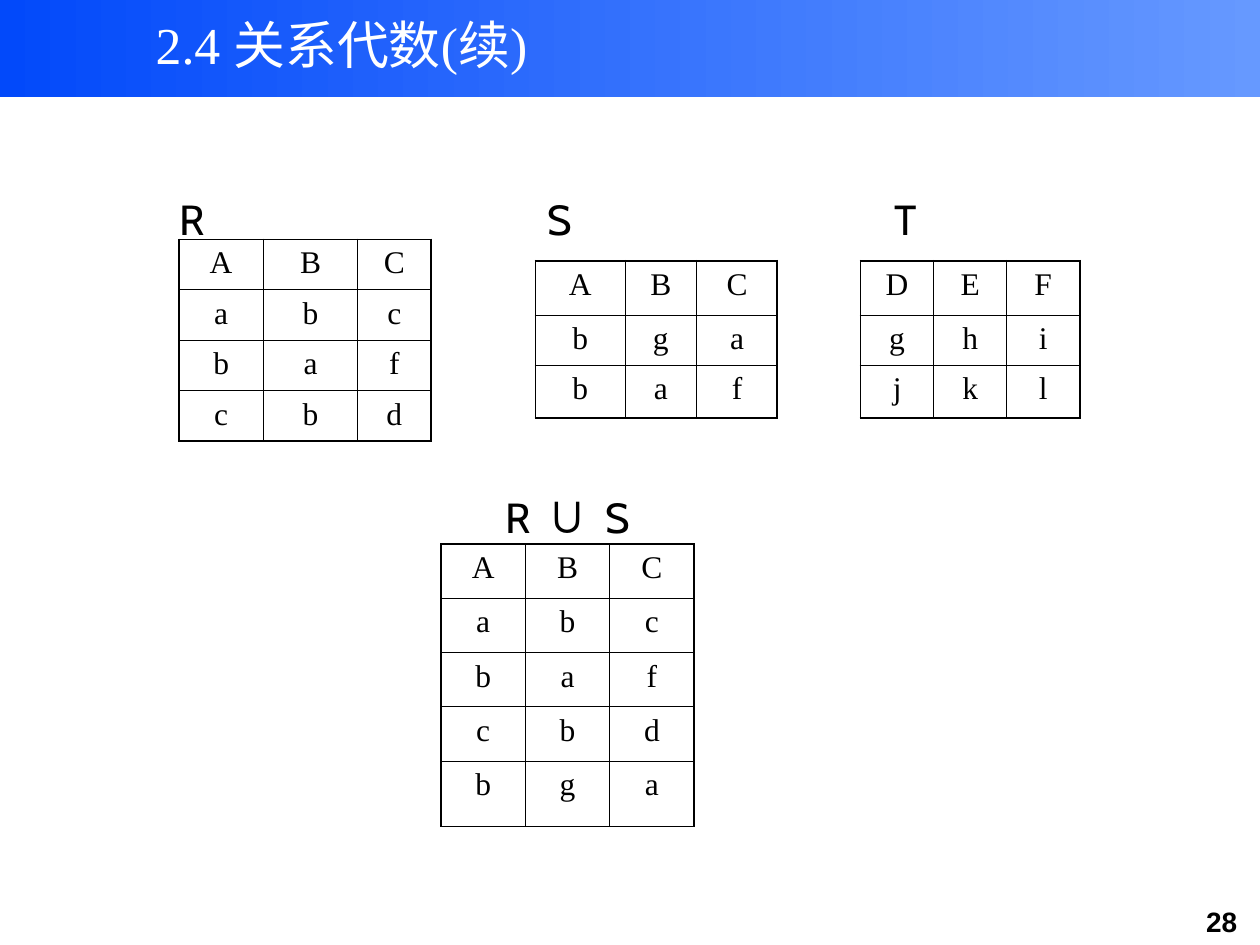
from lxml import etree
from pptx import Presentation
from pptx.dml.color import RGBColor
from pptx.enum.shapes import MSO_SHAPE as Shape
from pptx.enum.text import MSO_ANCHOR as Anchor, PP_ALIGN as Align
from pptx.oxml.ns import qn
from pptx.util import Inches, Pt

BLACK = RGBColor(0, 0, 0)
WHITE = RGBColor(255, 255, 255)
DEEP_BLUE = RGBColor(0x02, 0x49, 0xFA)
LIGHT_BLUE = RGBColor(0x66, 0x99, 0xFF)

TITLE = {"name": "Times New Roman", "size": Pt(29.6), "color": WHITE}
CELL = {"name": "Times New Roman", "size": Pt(18), "color": BLACK}
LABEL = {"name": "Cabin", "size": Pt(24), "color": BLACK}
UNION = {"name": "Times New Roman", "size": Pt(32), "color": BLACK}
NUMBER = {"name": "Arial", "size": Pt(16), "bold": True, "color": BLACK}

OUTER, INNER = Pt(1.08), Pt(0.45)

RELATIONS = [
    ((1.42, 1.9), [0.67, 0.75, 0.58], [0.4] * 4, ["ABC", "abc", "baf", "cbd"]),
    ((4.25, 2.07), [0.71, 0.57, 0.64], [0.43, 0.4, 0.42], ["ABC", "bga", "baf"]),
    ((6.83, 2.07), [0.58] * 3, [0.43, 0.4, 0.42], ["DEF", "ghi", "jkl"]),
    ((3.5, 4.32), [0.67] * 3, [0.43] * 4 + [0.52],
     ["ABC", "abc", "baf", "cbd", "bga"]),
]
LABELS = [
    ((1.33, 1.49, 1, 0.5), [("R", LABEL)], Align.LEFT),
    ((4.25, 1.49, 1, 0.5), [("S", LABEL)], Align.LEFT),
    ((7, 1.49, 0.83, 0.5), [("T", LABEL)], Align.LEFT),
    ((3.67, 3.74, 1.67, 0.64),
     [("R ", LABEL), ("∪", UNION), (" S", LABEL)], Align.CENTER),
]


def write(para, spans, align):
    """Fill a paragraph with formatted spans."""
    para.alignment = align
    for text, form in spans:
        span = para.add_run()
        span.text = text
        for key, value in form.items():
            if key == "color":
                span.font.color.rgb = value
            else:
                setattr(span.font, key, value)


def add_text(page, area, spans, align, anchor=Anchor.TOP):
    """Place a wrapped text box."""
    box = page.shapes.add_textbox(*map(Inches, area))
    frame = box.text_frame
    frame.word_wrap = True
    frame.vertical_anchor = anchor
    write(frame.paragraphs[0], spans, align)


def add_header(page, area):
    """Place the gradient band and its title."""
    band = page.shapes.add_shape(Shape.RECTANGLE, *map(Inches, area))
    band.shadow.inherit = False
    band.line.fill.background()
    band.fill.gradient()
    band.fill.gradient_angle = 0
    for stop, color in zip(band.fill.gradient_stops, (DEEP_BLUE, LIGHT_BLUE)):
        stop.color.rgb = color
    left, top = area[:2]
    add_text(page, (left + 0.92, top + 0.01, 3.58, 0.67),
             [("2.4 关系代数(续)", TITLE)], Align.CENTER, Anchor.MIDDLE)


def set_borders(cell, widths):
    """Draw the left, right, top and bottom edges of a cell."""
    props = cell._tc.get_or_add_tcPr()
    for index, (side, width) in enumerate(zip("LRTB", widths)):
        line = etree.Element(qn(f"a:ln{side}"), w=str(int(width)))
        fill = etree.SubElement(line, qn("a:solidFill"))
        etree.SubElement(fill, qn("a:srgbClr"), val=str(BLACK))
        props.insert(index, line)


def add_relation(page, corner, widths, heights, rows):
    """Place a relation as a table with a heavier frame."""
    area = (*corner, sum(widths), sum(heights))
    table = page.shapes.add_table(len(rows), len(widths), *map(Inches, area)).table
    table.first_row = table.horz_banding = False
    for column, width in zip(table.columns, widths):
        column.width = Inches(width)
    for row, height in zip(table.rows, heights):
        row.height = Inches(height)
    for r, values in enumerate(rows):
        for c, value in enumerate(values):
            cell = table.cell(r, c)
            cell.fill.background()
            edges = (c == 0, c == len(widths) - 1, r == 0, r == len(rows) - 1)
            set_borders(cell, [OUTER if edge else INNER for edge in edges])
            write(cell.text_frame.paragraphs[0], [(value, CELL)], Align.CENTER)


def main():
    """Build the deck."""
    deck = Presentation()
    deck.slide_width, deck.slide_height = Inches(10), Inches(7.5)
    page = deck.slides.add_slide(deck.slide_layouts[6])
    add_header(page, (0, 0, 10, 0.77))
    for relation in RELATIONS:
        add_relation(page, *relation)
    for label in LABELS:
        add_text(page, *label)
    add_text(page, (9.39, 7.13, 0.61, 0.37), [("28", NUMBER)], Align.CENTER)
    deck.save("out.pptx")


if __name__ == "__main__":
    main()
